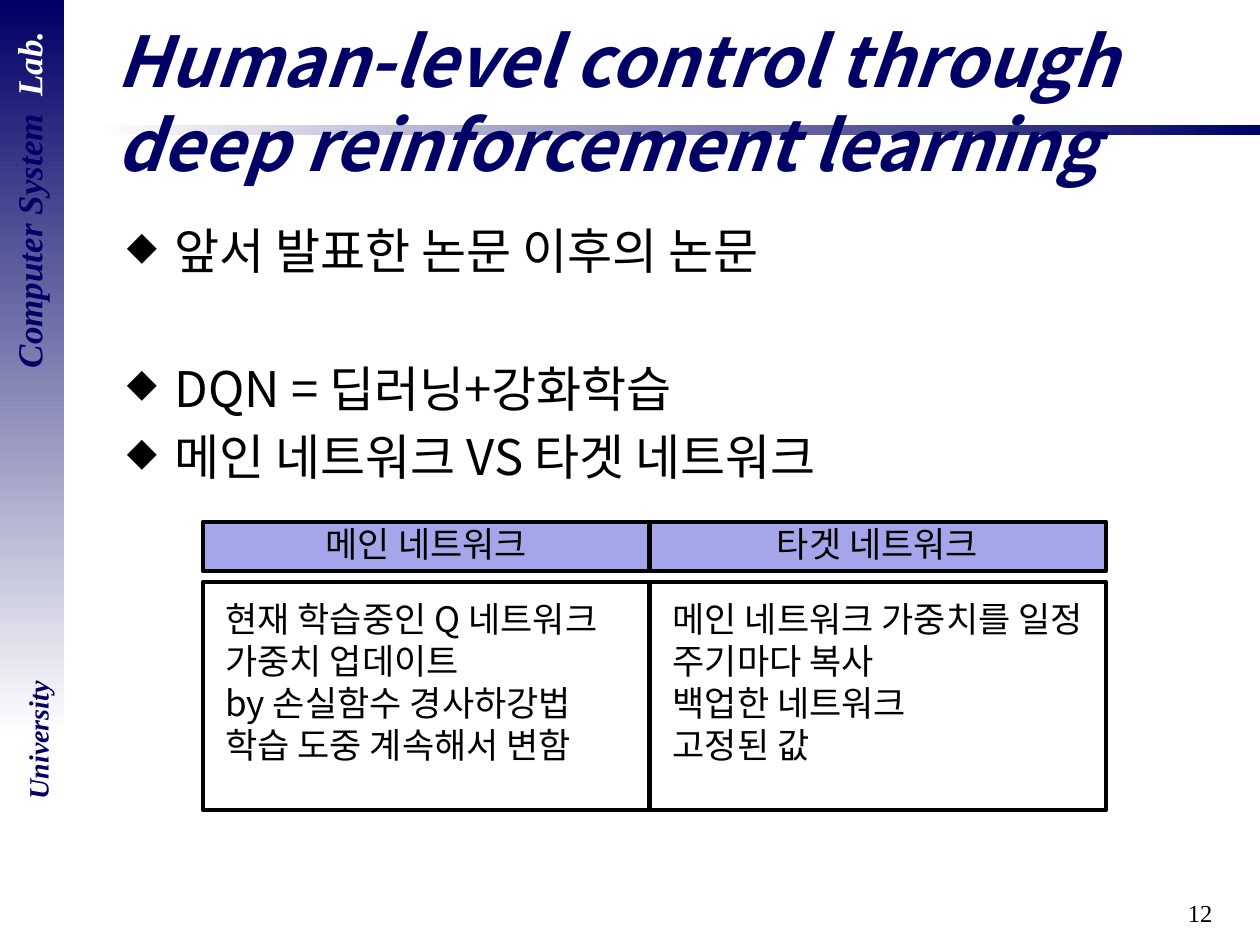
from dataclasses import dataclass
from typing import NamedTuple

from lxml.etree import SubElement
from pptx import Presentation
from pptx.dml.color import RGBColor
from pptx.enum.shapes import MSO_SHAPE
from pptx.enum.text import MSO_ANCHOR, PP_ALIGN
from pptx.oxml.ns import qn
from pptx.util import Inches, Pt

SANS = "Noto Sans CJK KR"
SERIF = "Times New Roman"
NAVY = "000066"
BLACK = "000000"
WHITE = "FFFFFF"
LAVENDER = "A5A5E9"


class Box(NamedTuple):
    left: float
    top: float
    width: float
    height: float


@dataclass(frozen=True)
class Style:
    size: float
    font: str = SANS
    color: str = BLACK
    emphasis: bool = False


@dataclass(frozen=True)
class Column:
    left: float
    width: float
    heading: str
    heading_left: float
    text_left: float
    text_height: float
    lines: tuple[str, ...]


TITLE = Style(40, color=NAVY, emphasis=True)
BODY = Style(28)
CELL = Style(20)
LAB = Style(20, SERIF, NAVY, True)
LAB_SUFFIX = Style(20, SERIF, WHITE, True)
UNIVERSITY = Style(16, SERIF, NAVY, True)
PAGE_NUMBER = Style(14, SERIF)

BULLETS = (
    ("앞서 발표한 논문 이후의 논문", 0),
    ("DQN = 딥러닝+강화학습", 45),
    ("메인 네트워크 VS 타겟 네트워크", 5.6),
)

COLUMNS = (
    Column(1.61, 3.54, "메인 네트워크", 1.81, 1.69, 1.78, (
        "현재 학습중인 Q 네트워크",
        "가중치 업데이트\nby 손실함수 경사하강법",
        "학습 도중 계속해서 변함",
    )),
    Column(5.16, 3.62, "타겟 네트워크", 5.39, 5.24, 1.45, (
        "메인 네트워크 가중치를 일정 주기마다 복사\n백업한 네트워크",
        "고정된 값",
    )),
)


def rgb(value: str) -> RGBColor:
    return RGBColor.from_string(value)


def inches(box: Box) -> list[Inches]:
    return [Inches(length) for length in box]


def add_rectangle(slide, box: Box):
    shape = slide.shapes.add_shape(MSO_SHAPE.RECTANGLE, *inches(box))
    shape.shadow.inherit = False
    return shape


def add_gradient(slide, box: Box, colors: tuple[str, str], angle: float) -> None:
    shape = add_rectangle(slide, box)
    shape.line.fill.background()
    shape.fill.gradient()
    shape.fill.gradient_angle = angle
    for stop, color in zip(shape.fill.gradient_stops, colors):
        stop.color.rgb = rgb(color)


def add_cell(slide, box: Box, color: str) -> None:
    shape = add_rectangle(slide, box)
    shape.fill.solid()
    shape.fill.fore_color.rgb = rgb(color)
    shape.line.color.rgb = rgb(BLACK)
    shape.line.width = Pt(2.25)


def add_run(paragraph, text: str, style: Style) -> None:
    run = paragraph.add_run()
    run.text = text
    font = run.font
    font.size = Pt(style.size)
    font.bold = font.italic = style.emphasis
    font.color.rgb = rgb(style.color)
    font.name = style.font
    SubElement(run._r.get_or_add_rPr(), qn("a:ea"), typeface=style.font)


def add_text_box(slide, box: Box, rotation: float = 0):
    shape = slide.shapes.add_textbox(*inches(box))
    shape.rotation = rotation
    shape.text_frame.word_wrap = True
    return shape.text_frame


def next_paragraph(frame, index: int):
    return frame.add_paragraph() if index else frame.paragraphs[0]


def add_label(slide, box: Box, runs: tuple[tuple[str, Style], ...],
              alignment: PP_ALIGN = PP_ALIGN.CENTER, rotation: float = 0) -> None:
    paragraph = add_text_box(slide, box, rotation).paragraphs[0]
    paragraph.alignment = alignment
    for text, style in runs:
        add_run(paragraph, text, style)


def add_title(slide, box: Box, text: str) -> None:
    frame = add_text_box(slide, box)
    frame.vertical_anchor = MSO_ANCHOR.MIDDLE
    frame.margin_bottom = Inches(0.7)
    add_run(frame.paragraphs[0], text, TITLE)


def add_bullets(slide, box: Box) -> None:
    frame = add_text_box(slide, box)
    for index, (text, space_before) in enumerate(BULLETS):
        paragraph = next_paragraph(frame, index)
        properties = paragraph._p.get_or_add_pPr()
        properties.set("marL", str(Inches(0.38)))
        properties.set("indent", str(-Inches(0.38)))
        SubElement(properties, qn("a:buSzPct"), val="80000")
        SubElement(properties, qn("a:buChar"), char="◆")
        if space_before:
            paragraph.space_before = Pt(space_before)
        add_run(paragraph, text, BODY)


def add_column(slide, column: Column) -> None:
    add_cell(slide, Box(column.left, 4.14, column.width, 0.39), LAVENDER)
    add_label(slide, Box(column.heading_left, 4.1, 3.15, 0.44), ((column.heading, CELL),))
    add_cell(slide, Box(column.left, 4.62, column.width, 1.81), WHITE)
    frame = add_text_box(slide, Box(column.text_left, 4.69, 3.46, column.text_height))
    for index, text in enumerate(column.lines):
        paragraph = next_paragraph(frame, index)
        for part_index, part in enumerate(text.split("\n")):
            if part_index:
                paragraph.add_line_break()
            add_run(paragraph, part, CELL)


def main() -> None:
    presentation = Presentation()
    presentation.slide_width = Inches(10)
    presentation.slide_height = Inches(7.5)
    slide = presentation.slides.add_slide(presentation.slide_layouts[6])

    add_gradient(slide, Box(0.75, 0.99, 9.25, 0.08), (WHITE, NAVY), 0)
    add_label(slide, Box(7.64, 7.08, 2.08, 0.42), (("12", PAGE_NUMBER),), PP_ALIGN.RIGHT)
    add_gradient(slide, Box(0, 0, 0.51, 5.83), (NAVY, WHITE), 270)
    add_label(slide, Box(-1.31, 1.37, 3.07, 0.43),
              (("Computer System  ", LAB), ("Lab.", LAB_SUFFIX)), rotation=270)
    add_label(slide, Box(-0.41, 5.69, 1.42, 0.37), (("University", UNIVERSITY),), rotation=270)
    add_title(slide, Box(0.83, 0.17, 8.9, 1.92),
              "Human-level control through deep reinforcement learning")
    add_bullets(slide, Box(0.91, 1.7, 8.74, 5.21))
    for column in COLUMNS:
        add_column(slide, column)

    presentation.save("out.pptx")


if __name__ == "__main__":
    main()
